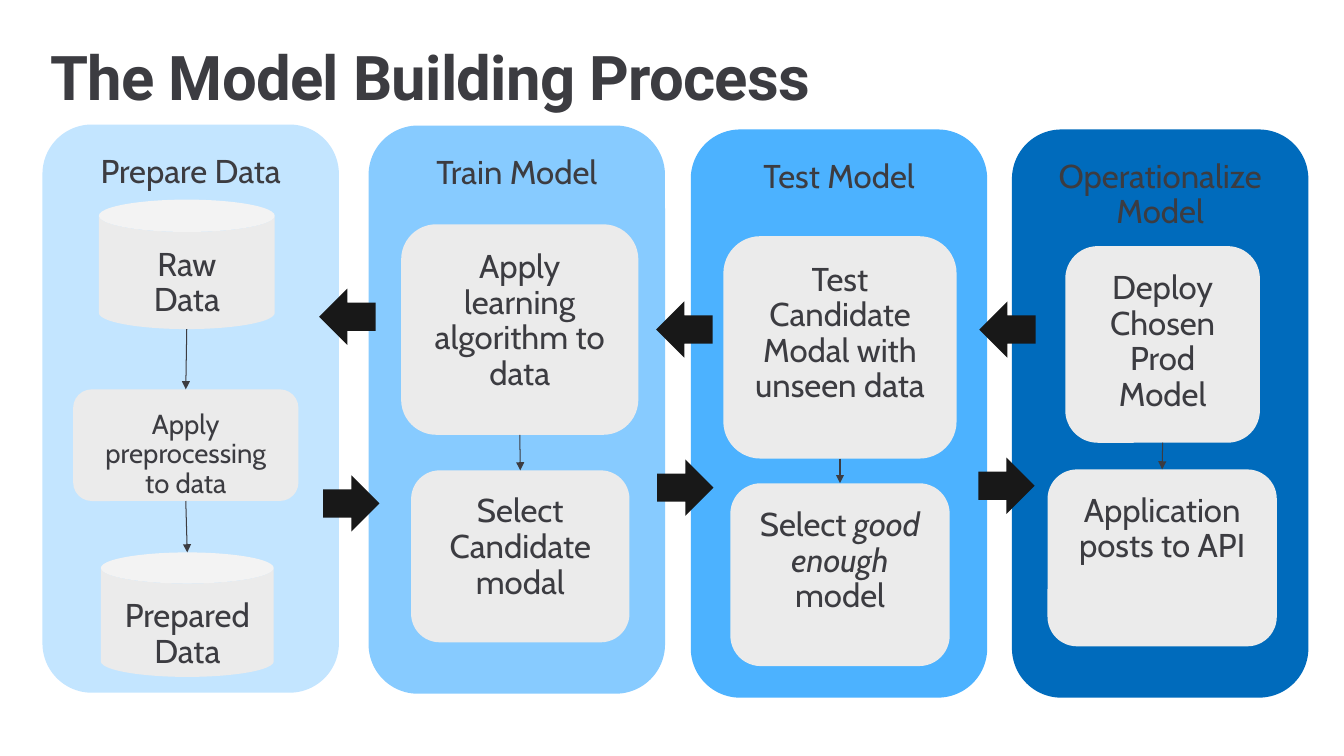
from itertools import pairwise

from lxml.etree import SubElement
from pptx import Presentation
from pptx.dml.color import RGBColor
from pptx.enum.shapes import MSO_CONNECTOR as Line, MSO_SHAPE as Shape
from pptx.enum.text import MSO_ANCHOR as Anchor, MSO_AUTO_SIZE as AutoSize, PP_ALIGN as Align
from pptx.oxml.ns import qn
from pptx.util import Emu, Pt

PX = 9144
TITLE_ONLY = 5
TOP, BOTTOM = 0, 2

INK = RGBColor(0x3C, 0x3C, 0x41)
CARD = RGBColor(0xEB, 0xEB, 0xEB)
ARROW = RGBColor(0x18, 0x18, 0x18)
PALE = RGBColor(0xC3, 0xE5, 0xFF)
LIGHT = RGBColor(0x87, 0xCB, 0xFF)
BRIGHT = RGBColor(0x4C, 0xB2, 0xFF)
DEEP = RGBColor(0x00, 0x6B, 0xBC)

PANEL_SIZE = (300, 575)
ARROW_SIZE = (57, 57)

STAGES = [
    ("Prepare Data", PALE, (43, 126), [
        (Shape.CAN, (100, 202, 178, 131), 24, [["Raw"], ["Data"]]),
        (Shape.ROUNDED_RECTANGLE, (74, 394, 228, 113), 20, [["Apply preprocessing to data"]]),
        (Shape.CAN, (102, 559, 175, 126), 24, [["Prepared"], ["Data"]]),
    ]),
    ("Train Model", LIGHT, (373, 127), [
        (Shape.ROUNDED_RECTANGLE, (406, 227, 240, 213), 24, [["Apply learning algorithm to data"]]),
        (Shape.ROUNDED_RECTANGLE, (416, 476, 221, 174), 24, [["Select"], ["Candidate"], ["modal"]]),
    ]),
    ("Test Model", BRIGHT, (699, 131), [
        (Shape.ROUNDED_RECTANGLE, (732, 239, 236, 225), 24,
         [["Test Candidate"], ["Modal with unseen data"]]),
        (Shape.ROUNDED_RECTANGLE, (739, 489, 222, 185), 24,
         [["Select ", ("good enough ", {"italic": True}), "model"]]),
    ]),
    ("Operationalize Model", DEEP, (1024, 131), [
        (Shape.ROUNDED_RECTANGLE, (1078, 249, 197, 199), 24, [["Deploy Chosen"], ["Prod Model"]]),
        (Shape.ROUNDED_RECTANGLE, (1060, 475, 232, 179), 24, [["Application posts to API"]]),
    ]),
]
FORWARD_ARROWS = [(327, 481), (665, 465), (990, 463)]
BACK_ARROWS = [(323, 292), (664, 305), (991, 305)]


def px(value):
    return Emu(value * PX)


def apply(target, values):
    for name, value in values.items():
        setattr(target, name, value)


class SlideBuilder:
    title_font = {"name": "Roboto", "size": Pt(44.9), "bold": True}
    body_font = {"name": "Cabin"}
    title_frame = {"margin_left": 0, "margin_top": 0, "margin_right": 0, "margin_bottom": 0,
                   "vertical_anchor": Anchor.MIDDLE, "word_wrap": True,
                   "auto_size": AutoSize.NONE}
    card_frame = {"margin_left": px(20), "margin_top": px(16), "margin_right": px(20),
                  "margin_bottom": px(16), "vertical_anchor": Anchor.TOP, "word_wrap": True}

    def __init__(self, deck):
        self.slide = deck.slides.add_slide(deck.slide_layouts[TITLE_ONLY])

    def add_span(self, para, text, font, alignment):
        apply(para, {"alignment": alignment, "line_spacing": 0.9})
        span = para.add_run()
        span.text = text
        apply(span.font, font)
        span.font.color.rgb = INK
        return span

    def title(self, text, left, top, width, height):
        box = self.slide.shapes.title
        apply(box, {"left": px(left), "top": px(top), "width": px(width), "height": px(height)})
        apply(box.text_frame, self.title_frame)
        span = self.add_span(box.text_frame.paragraphs[0], text, self.title_font, Align.LEFT)
        span._r.get_or_add_rPr().set("spc", "-50")

    def shape(self, kind, bounds, fill, rotation=0):
        box = self.slide.shapes.add_shape(kind, *map(px, bounds))
        box.shadow.inherit = False
        box.fill.solid()
        box.fill.fore_color.rgb = fill
        box.line.fill.background()
        box.rotation = rotation
        return box

    def card(self, kind, bounds, fill, size, lines):
        box = self.shape(kind, bounds, fill)
        frame = box.text_frame
        apply(frame, self.card_frame)
        for index, pieces in enumerate(lines):
            para = frame.add_paragraph() if index else frame.paragraphs[0]
            for piece in pieces:
                text, extra = (piece, {}) if isinstance(piece, str) else piece
                font = {**self.body_font, "size": Pt(size), **extra}
                self.add_span(para, text, font, Align.CENTER)
        return box

    def connect(self, upper, lower):
        link = self.slide.shapes.add_connector(
            Line.STRAIGHT,
            upper.left + upper.width // 2, upper.top + upper.height,
            lower.left + lower.width // 2, lower.top)
        if upper.auto_shape_type == Shape.ROUNDED_RECTANGLE:
            link.begin_connect(upper, BOTTOM)
        if lower.auto_shape_type == Shape.ROUNDED_RECTANGLE:
            link.end_connect(lower, TOP)
        link.line.color.rgb = INK
        link.line.width = Pt(0.75)
        SubElement(link.line._get_or_add_ln(), qn("a:tailEnd"), type="triangle")
        SubElement(link._element.spPr, qn("a:effectLst"))

    def stage(self, heading, fill, corner, steps):
        self.card(Shape.ROUNDED_RECTANGLE, corner + PANEL_SIZE, fill, 24, [[heading]])
        boxes = [self.card(kind, bounds, CARD, size, lines)
                 for kind, bounds, size, lines in steps]
        for upper, lower in pairwise(boxes):
            self.connect(upper, lower)

    def arrows(self, corners, rotation):
        for corner in corners:
            self.shape(Shape.RIGHT_ARROW, corner + ARROW_SIZE, ARROW, rotation)


def main():
    deck = Presentation()
    apply(deck, {"slide_width": px(1360), "slide_height": px(765)})
    builder = SlideBuilder(deck)
    builder.title("The Model Building Process", 51, 46, 1258, 71)
    for stage in STAGES:
        builder.stage(*stage)
    builder.arrows(FORWARD_ARROWS, 0)
    builder.arrows(BACK_ARROWS, 180)
    deck.save("out.pptx")


if __name__ == "__main__":
    main()
